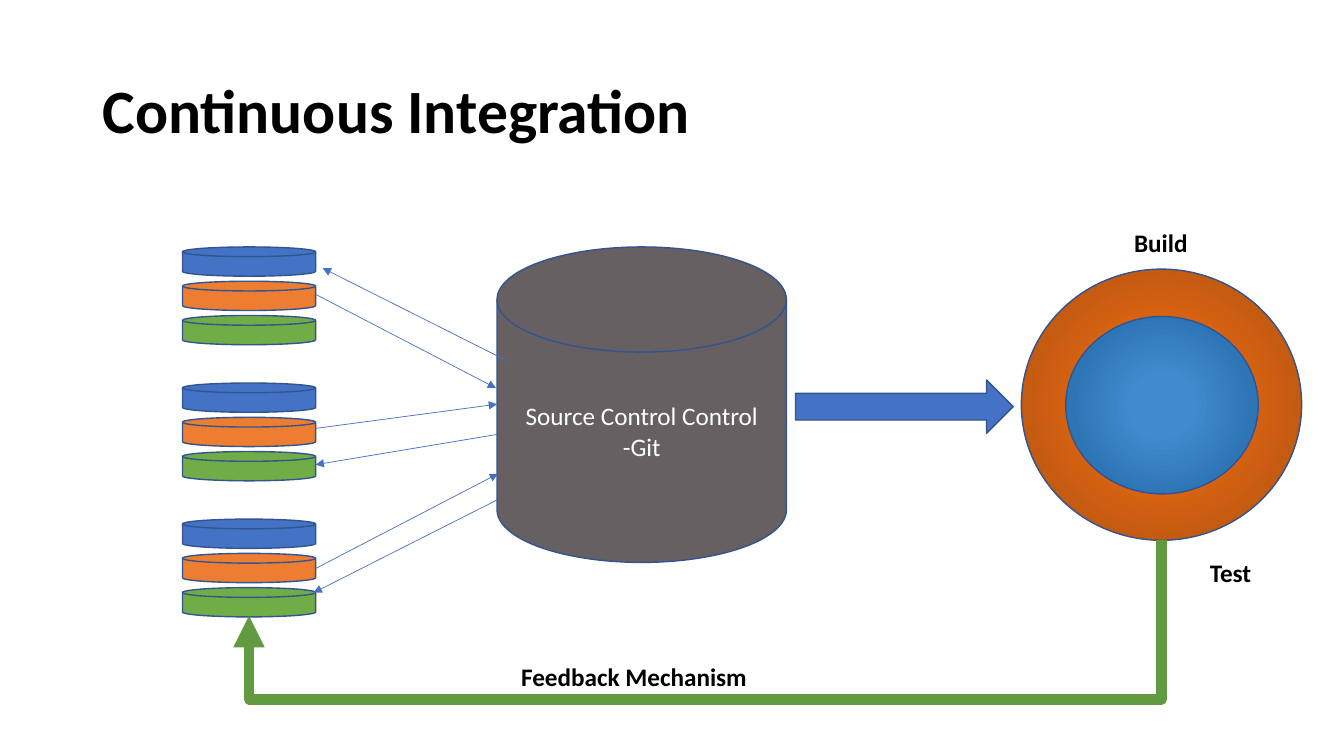
"""Draw the continuous integration loop from developer stacks to build and test."""
from pptx import Presentation, oxml, util as u
from pptx.dml.color import RGBColor
from pptx.enum import shapes, text
from pptx.oxml.ns import nsdecls, qn

PX = 9144
THEME = {
    "font": "Calibri", "title": 44, "body": 18,
    "ink": "000000", "white": "FFFFFF", "edge": "325491",
    "blue": "4472C4", "orange": "ED7D31", "green": "70AD47",
    "gray": "666062", "loop": "629A3F",
    "outer": [(0, "EA6B14"), (23, "EA6B14"), (69, "C55A11"), (97, "B85410")],
    "inner": [(0, "408BCE"), (23, "408BCE"), (69, "2E75B6"), (97, "2B6DA9")],
}
KIND = shapes.MSO_SHAPE
LINK = shapes.MSO_CONNECTOR

deck = Presentation()
deck.slide_width, deck.slide_height = 1333 * PX, 750 * PX
slide = deck.slides.add_slide(deck.slide_layouts[6])
items = slide.shapes


def write(box, words, size, color, bold, align, anchor):
    """Put one styled paragraph into a shape."""
    frame = box.text_frame
    frame.word_wrap = True
    frame.vertical_anchor = anchor
    para = frame.paragraphs[0]
    para.text, para.alignment = words, align
    style = {"name": THEME["font"], "size": u.Pt(THEME[size]), "bold": bold}
    for key, value in style.items():
        setattr(para.font, key, value)
    para.font.color.rgb = RGBColor.from_string(THEME[color])
    return para


def link(kind, ends, color, width):
    """Add a connector with a triangle at its end."""
    line = items.add_connector(kind, *(n * PX for n in ends))
    line.line.color.rgb = RGBColor.from_string(THEME[color])
    line.line.width = u.Pt(width)
    tail = oxml.parse_xml(f'<a:tailEnd {nsdecls("a")} type="triangle"/>')
    line.line._get_or_add_ln().append(tail)
    props = line._element.spPr
    props.append(oxml.parse_xml(f'<a:effectLst {nsdecls("a")}/>'))
    return props


disks = [
    (KIND.FLOWCHART_MAGNETIC_DISK, (181, 245 + 135 * group + 34 * row, 132, 29), tint)
    for group in range(3)
    for row, tint in enumerate(["blue", "orange", "green"])
]
parts = disks + [
    (KIND.FLOWCHART_MAGNETIC_DISK, (493, 245, 287, 313), "gray"),
    (KIND.RIGHT_ARROW, (789, 377, 216, 53), "blue"),
    (KIND.OVAL, (1013, 267, 278, 269), "outer"),
    (KIND.OVAL, (1057, 314, 191, 176), "inner"),
]
for kind, area, tint in parts:
    part = items.add_shape(kind, *(n * PX for n in area))
    part.shadow.inherit = False
    part.line.color.rgb = RGBColor.from_string(THEME["edge"])
    part.line.width = u.Pt(1)
    fill = THEME[tint]
    part.fill.solid()
    if isinstance(fill, str):
        part.fill.fore_color.rgb = RGBColor.from_string(fill)
    else:
        stops = "".join(
            f'<a:gs pos="{spot * 1000}"><a:srgbClr val="{hue}"/></a:gs>'
            for spot, hue in fill
        )
        grad = oxml.parse_xml(
            f'<a:gradFill {nsdecls("a")}><a:gsLst>{stops}</a:gsLst>'
            '<a:path path="circle"><a:fillToRect l="50000" t="50000" '
            'r="50000" b="50000"/></a:path></a:gradFill>'
        )
        props = part._element.spPr
        props.replace(props.find(qn("a:solidFill")), grad)
    if tint == "gray":
        write(part, "Source Control Control -Git", "body", "white", False,
              text.PP_ALIGN.CENTER, text.MSO_ANCHOR.MIDDLE)

flows = [
    (313, 292, 492, 385), (313, 564, 494, 470), (313, 425, 493, 401),
    (503, 358, 320, 266), (493, 431, 313, 461), (493, 496, 311, 588),
]
for ends in flows:
    link(LINK.STRAIGHT, ends, "blue", 0.5)

loop = link(LINK.ELBOW, (662, 121, 737, 1026), "loop", 7.5)
loop.find(qn("a:xfrm")).set("rot", "5400000")
bend = oxml.parse_xml(f'<a:gd {nsdecls("a")} name="adj1" fmla="val 210500"/>')
loop.find(qn("a:prstGeom")).get_or_add_avLst().append(bend)

labels = [
    ("Continuous Integration", (92, 40, 1150, 145), "title", text.MSO_ANCHOR.MIDDLE),
    ("Build", (1115, 221, 150, 40), "body", text.MSO_ANCHOR.TOP),
    ("Test", (1190, 548, 75, 40), "body", text.MSO_ANCHOR.TOP),
    ("Feedback Mechanism", (507, 651, 384, 40), "body", text.MSO_ANCHOR.TOP),
]
for words, area, size, anchor in labels:
    box = items.add_textbox(*(n * PX for n in area))
    para = write(box, words, size, "ink", True, text.PP_ALIGN.LEFT, anchor)
    if size == "title":
        para.line_spacing = 0.9

deck.save("out.pptx")
